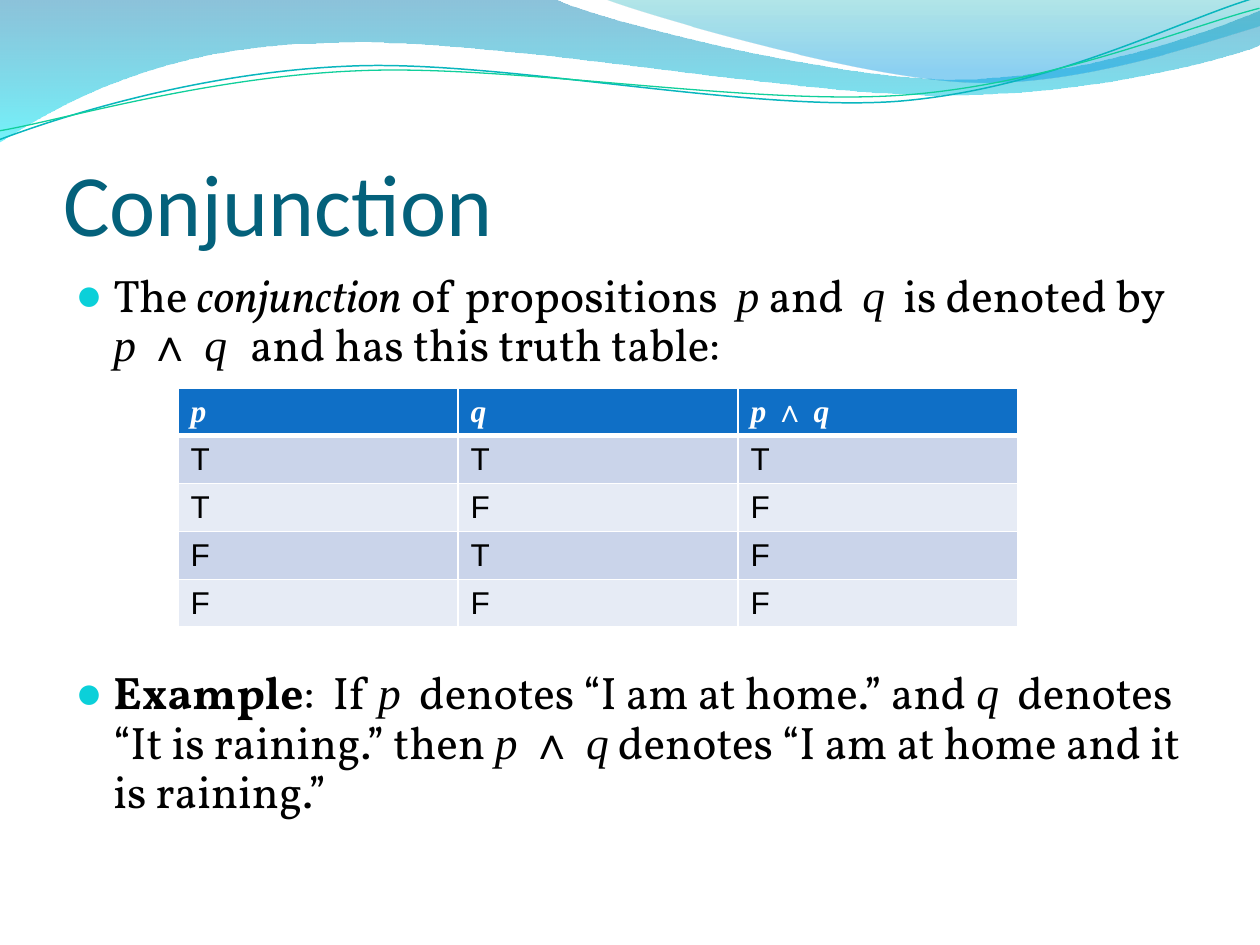
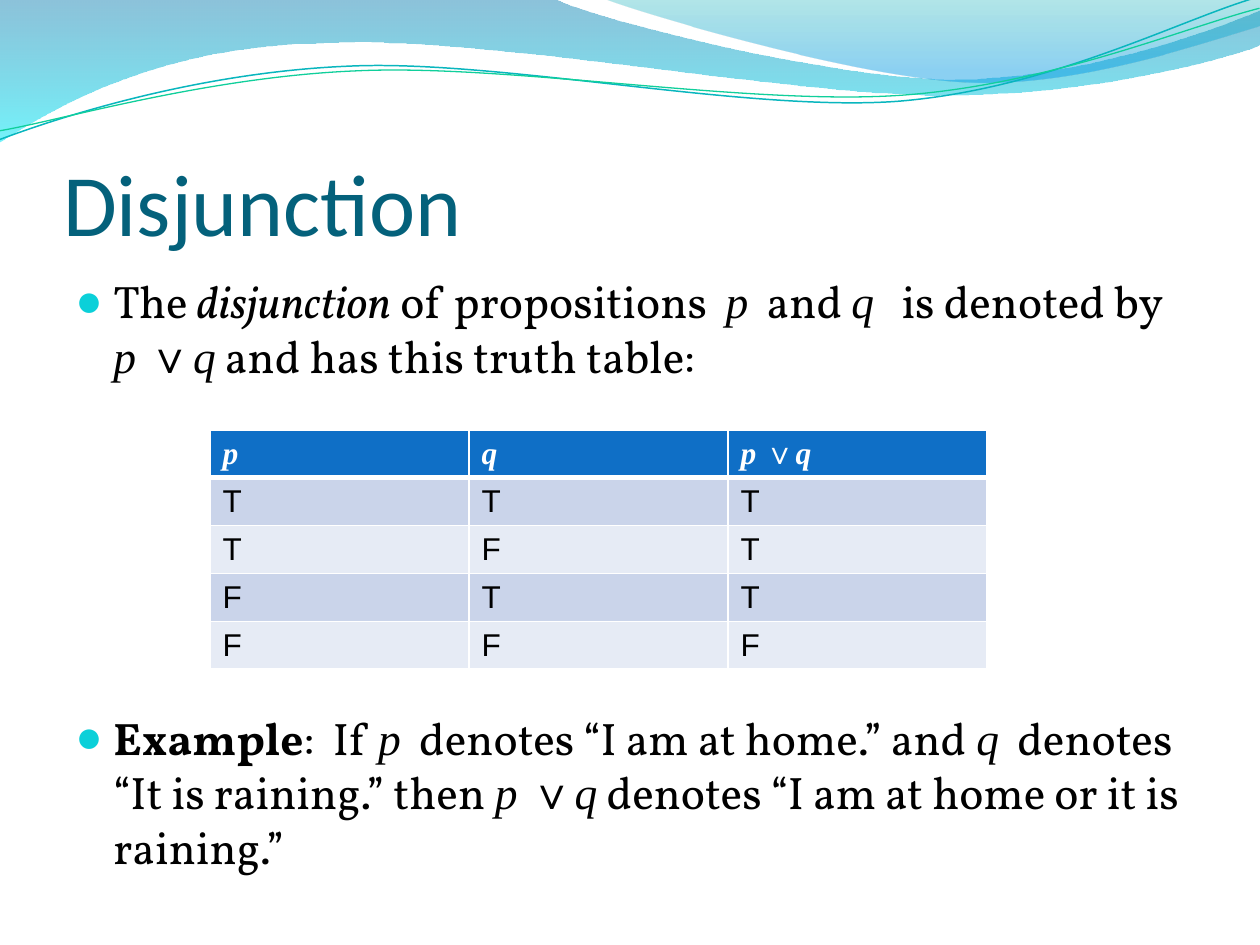
import lxml.etree
import pptx
import pptx.dml.color
import pptx.enum.text
import pptx.oxml.ns
import pptx.util

RGBColor = pptx.dml.color.RGBColor
qn = pptx.oxml.ns.qn

PX = 914400 / 126
TITLE_COLOR = RGBColor(0x04, 0x61, 0x7B)
BULLET_COLOR = RGBColor(0x0B, 0xD0, 0xD9)
BLACK = RGBColor(0x00, 0x00, 0x00)
WHITE = RGBColor(0xFF, 0xFF, 0xFF)
HEADER_FILL = RGBColor(0x0F, 0x6F, 0xC6)
ROW_FILLS = [RGBColor(0xCA, 0xD4, 0xEA), RGBColor(0xE6, 0xEB, 0xF5)]

BAND_STOPS = [(0, RGBColor(0x00, 0x79, 0xAD), 45), (1, RGBColor(0x00, 0xE9, 0xF7), 55)]
CREST_STOPS = [(0, RGBColor(0x00, 0xAB, 0xB4), 30), (0.8, RGBColor(0x00, 0x99, 0xE4), 45)]
TEAL_LINE = RGBColor(0x09, 0xB6, 0xBE)
GREEN_LINE = RGBColor(0x10, 0xCF, 0x9B)

BAND = [(0, 0), (554, -1), (600, 21, 837, 79, 955, 79), (1075, 79, 1207, 33, 1260, 11),
        (1261, 45), (1239, 55, 1096, 96, 940, 95), (784, 95, 481, 35, 324, 43),
        (163, 45, 58, 105, -1, 142), (0, 0)]
CREST = [(604, -1), (641, 14, 859, 78, 969, 82), (1079, 87, 1211, 40, 1260, 26),
         (1260, 0), (604, -1)]
TEAL_WAVE = [(-3, 110), (59, 90, 199, 52, 350, 53), (499, 53, 745, 118, 896, 114),
             (1049, 109, 1184, 45, 1260, 27)]
GREEN_WAVE = [(-2, 101), (57, 94, 207, 57, 357, 58), (509, 58, 750, 112, 902, 108),
              (1052, 104, 1188, 53, 1262, 38)]
WAVE_ROTATION = 357.3

WORD = {"font": "Vollkorn"}
TERM = {"font": "Vollkorn", "italic": True}
STRONG = {"font": "Vollkorn", "bold": True}
VARIABLE = {"font": "Times New Roman", "italic": True}
SYMBOL = {"font": "Times New Roman"}


def emu(pixels):
    return pptx.util.Emu(round(pixels * PX))


def emu_box(box):
    return [emu(length) for length in box]


def add_text(paragraph, text, font, size=26, color=BLACK, bold=False, italic=False):
    run = paragraph.add_run()
    run.text = text
    run.font.name = font
    run.font.size = pptx.util.Pt(size)
    run.font.color.rgb = color
    run.font.bold = bold
    run.font.italic = italic


def set_frame(text_frame, margins, anchor):
    text_frame.word_wrap = True
    text_frame.auto_size = pptx.enum.text.MSO_AUTO_SIZE.NONE
    text_frame.vertical_anchor = anchor
    (text_frame.margin_left, text_frame.margin_top,
     text_frame.margin_right, text_frame.margin_bottom) = map(pptx.util.Inches, margins)


def add_outline(slide, outline, closed):
    points = [segment[i:i + 2] for segment in outline for i in range(0, len(segment), 2)]
    builder = slide.shapes.build_freeform(*points[0], scale=PX)
    builder.add_line_segments(points[1:], close=closed)
    shape = builder.convert_to_shape()
    shape.shadow.inherit = False
    lines = iter(list(shape.element.iter(qn("a:lnTo"))))
    for segment in outline[1:]:
        line = next(lines)
        if len(segment) == 6:
            curve = lxml.etree.Element(qn("a:cubicBezTo"))
            line.addprevious(curve)
            for corner in (line, next(lines), next(lines)):
                curve.append(corner[0])
                corner.getparent().remove(corner)
    return shape


def add_band(slide, outline, stops):
    shape = add_outline(slide, outline, True)
    shape.line.fill.background()
    shape.fill.gradient()
    shape.fill.gradient_angle = 270
    for stop, (position, color, _) in zip(shape.fill.gradient_stops, stops):
        stop.position = position
        stop.color.rgb = color
    for element, (_, _, opacity) in zip(shape.element.iter(qn("a:srgbClr")), stops):
        lxml.etree.SubElement(element, qn("a:alpha"), val=str(opacity * 1000))
    return shape


def add_wave_line(slide, outline, color, width):
    shape = add_outline(slide, outline, False)
    shape.rotation = WAVE_ROTATION
    shape.fill.background()
    shape.line.color.rgb = color
    shape.line.width = pptx.util.Pt(width)
    return shape


def add_waves_to_layout(slide):
    waves = [add_band(slide, BAND, BAND_STOPS),
             add_band(slide, CREST, CREST_STOPS),
             add_wave_line(slide, TEAL_WAVE, TEAL_LINE, 0.85),
             add_wave_line(slide, GREEN_WAVE, GREEN_LINE, 0.75)]
    layout_tree = slide.slide_layout.shapes.element
    for index, wave in enumerate(waves):
        wave.element.nvSpPr.cNvPr.set("id", str(100 + index))
        layout_tree.insert(2 + index, wave.element)


def add_title(slide, text, box):
    title = slide.shapes.title
    title.left, title.top, title.width, title.height = emu_box(box)
    set_frame(title.text_frame, (0, 0.05, 0, 0), pptx.enum.text.MSO_ANCHOR.BOTTOM)
    paragraph = title.text_frame.paragraphs[0]
    paragraph.alignment = pptx.enum.text.PP_ALIGN.LEFT
    add_text(paragraph, text, font="Calibri", size=50, color=TITLE_COLOR)


def set_bullet(paragraph):
    properties = paragraph._p.get_or_add_pPr()
    properties.set("marL", str(emu(38)))
    properties.set("indent", str(-emu(38)))
    color = lxml.etree.SubElement(properties, qn("a:buClr"))
    lxml.etree.SubElement(color, qn("a:srgbClr"), val=str(BULLET_COLOR))
    lxml.etree.SubElement(properties, qn("a:buFont"), typeface="Arial")
    lxml.etree.SubElement(properties, qn("a:buChar"), char="●")


def add_body(slide, bullets, box, line_spacing, example_gap):
    text_frame = slide.shapes.add_textbox(*emu_box(box)).text_frame
    set_frame(text_frame, (0.1, 0.05, 0.1, 0.05), pptx.enum.text.MSO_ANCHOR.TOP)
    paragraphs = [text_frame.paragraphs[0], text_frame.add_paragraph()]
    for paragraph, runs, gap in zip(paragraphs, bullets, (0, example_gap)):
        paragraph.line_spacing = line_spacing
        paragraph.space_before = pptx.util.Pt(gap)
        set_bullet(paragraph)
        for text, style in runs:
            add_text(paragraph, text, **style)


def set_borders(cell, top, bottom):
    properties = cell._tc.get_or_add_tcPr()
    for side, width in (("L", 1), ("R", 1), ("T", top), ("B", bottom)):
        line = lxml.etree.SubElement(properties, qn(f"a:ln{side}"),
                                     w=str(pptx.util.Pt(width)))
        fill = lxml.etree.SubElement(line, qn("a:solidFill"))
        lxml.etree.SubElement(fill, qn("a:srgbClr"), val=str(WHITE))


def add_truth_table(slide, formula, results, box):
    header = [[("p", VARIABLE)], [("q", VARIABLE)], formula]
    inputs = ["TT", "TF", "FT", "FF"]
    rows = [header] + [[[(value, {"font": "Arial"})] for value in pair + result]
                       for pair, result in zip(inputs, results)]
    table = slide.shapes.add_table(len(rows), len(header), *emu_box(box)).table
    table.horz_banding = False
    for row_index, row in enumerate(rows):
        is_header = row_index == 0
        for column_index, runs in enumerate(row):
            cell = table.cell(row_index, column_index)
            set_borders(cell, 3 if row_index == 1 else 1, 3 if is_header else 1)
            cell.fill.solid()
            cell.fill.fore_color.rgb = HEADER_FILL if is_header else ROW_FILLS[(row_index - 1) % 2]
            for text, style in runs:
                add_text(cell.text_frame.paragraphs[0], text, size=18, bold=is_header,
                         color=WHITE if is_header else BLACK, **style)


def add_connective_slide(presentation, title, bullets, formula, results,
                         table_box, body_height, line_spacing, example_gap):
    slide = presentation.slides.add_slide(presentation.slide_layouts[5])
    add_title(slide, title, (63, 96, 1134, 158))
    add_body(slide, bullets, (63, 267, 1134, body_height), line_spacing, example_gap)
    add_truth_table(slide, formula, results, table_box)
    return slide


def example_runs(formula, meaning):
    return [("Example", STRONG), (":  If ", WORD), ("p", VARIABLE),
            ("  denotes “I am at home.” and ", WORD), ("q", VARIABLE),
            ("  denotes “It is raining.” then ", WORD), *formula,
            (f" denotes “{meaning}”", WORD)]


def main():
    presentation = pptx.Presentation()
    presentation.slide_width, presentation.slide_height = emu(1260), emu(945)

    conjunction = [("p ", VARIABLE), ("∧ ", SYMBOL), ("q", VARIABLE)]
    conjunction_slide = add_connective_slide(
        presentation, "Conjunction",
        [[("The ", WORD), ("conjunction", TERM), (" of propositions  ", WORD),
          ("p", VARIABLE), (" and  ", WORD), ("q", VARIABLE), ("  is denoted by ", WORD),
          *conjunction, ("  ", VARIABLE), ("and has this truth table:", WORD)],
         example_runs(conjunction, "I am at home and it is raining.")],
        conjunction, "TFFF", table_box=(178, 388, 840, 210),
        body_height=605, line_spacing=0.9, example_gap=171)
    add_waves_to_layout(conjunction_slide)

    disjunction = [("p ", VARIABLE), ("∨", SYMBOL), ("q", VARIABLE)]
    add_connective_slide(
        presentation, "Disjunction",
        [[("The ", WORD), ("disjunction", TERM), (" of propositions  ", WORD),
          ("p", VARIABLE), ("  and ", WORD), ("q", VARIABLE), ("   is denoted by  ", WORD),
          *disjunction, (" and has this truth table:", WORD)],
         example_runs(disjunction, "I am at home or it is raining.")],
        disjunction, "TTTF", table_box=(210, 430, 777, 210),
        body_height=646, line_spacing=1.0, example_gap=187)

    presentation.save("out.pptx")


if __name__ == "__main__":
    main()
